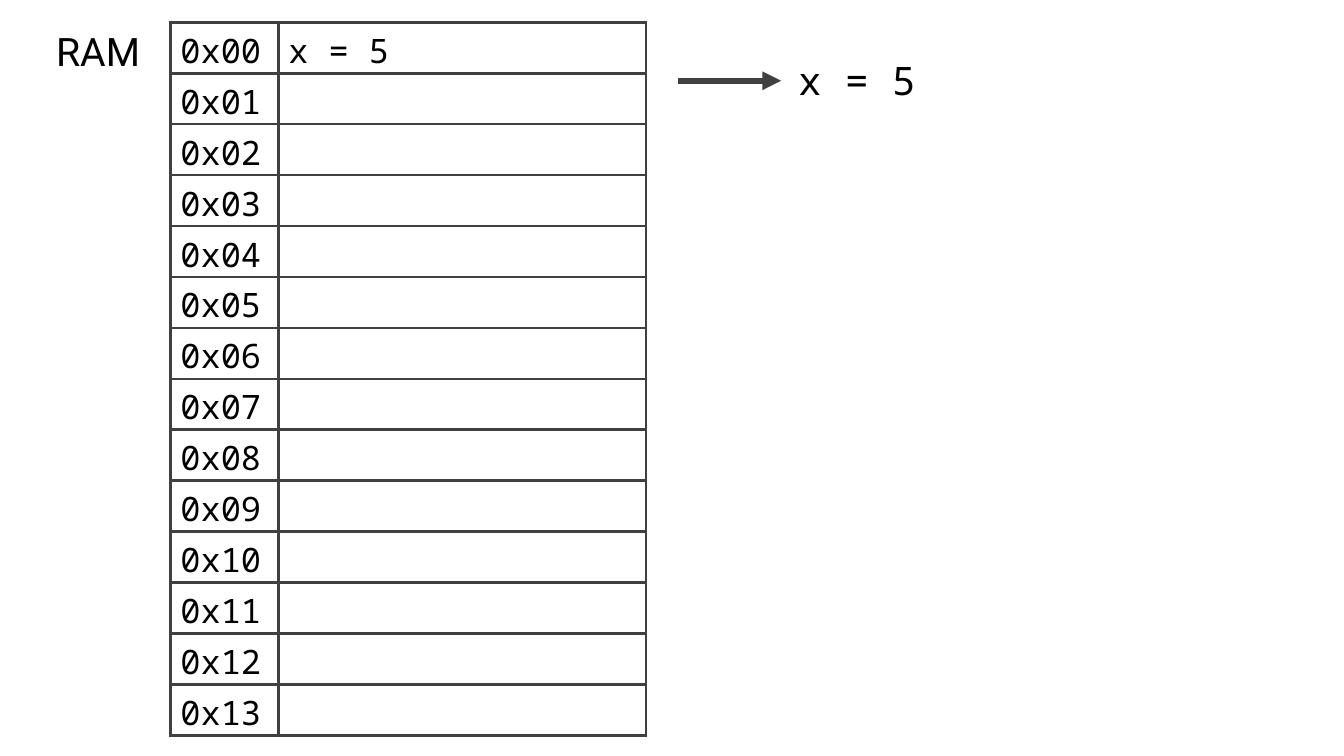
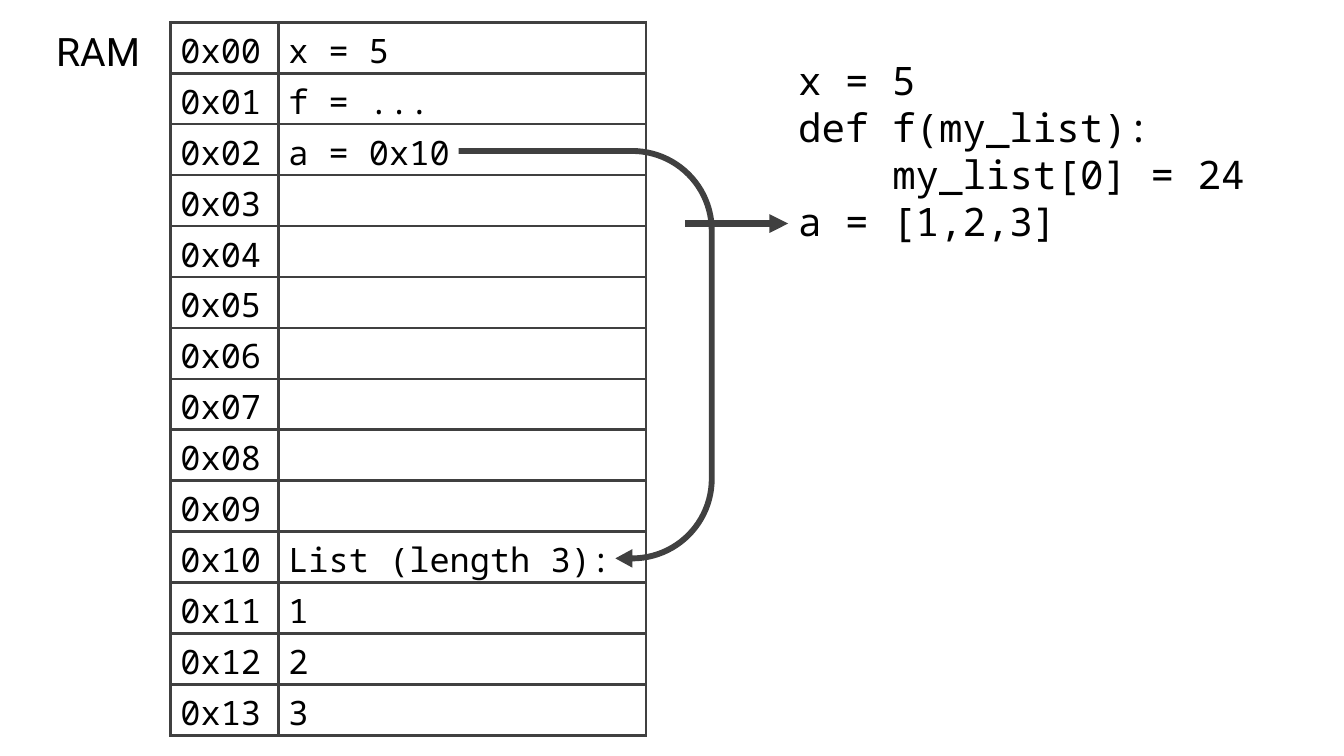
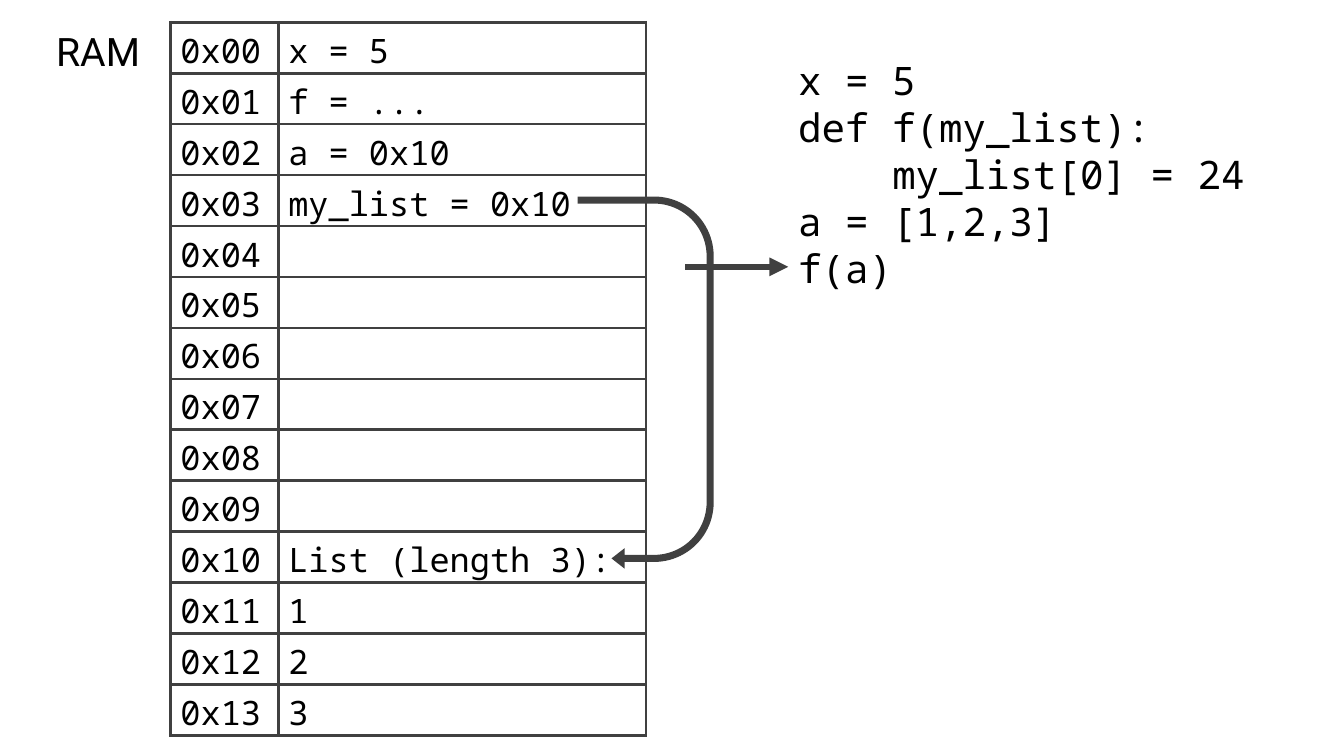
import lxml.etree
import pptx
import pptx.dml.color
import pptx.enum.shapes
import pptx.enum.text
import pptx.oxml.ns
import pptx.util

WIDE, HIGH = 13.33, 7.5
COL = WIDE / 40
TOP = 0.22
CELLS = 14
ROW = 7.08 / CELLS

BLACK = pptx.dml.color.RGBColor(0, 0, 0)
GREY = pptx.dml.color.RGBColor(0x40, 0x40, 0x40)
SANS, MONO = "Roboto", "Noto Sans Mono"
CHAR = 0.6  # width of a mono character, as a share of its size

CODE = ["x = 5", "def f(my_list):", "    my_list[0] = 24", "a = [1,2,3]", "f(a)"]
HEAP = {10: "List (length 3):", 11: "1", 12: "2", 13: "3"}
VARS = ["x = 5", "f = ...", "a = 0x10", "my_list = 0x10"]


def wide(cols):
    """Length of some grid columns."""
    return pptx.util.Inches(cols * COL)


def high(rows):
    """Length of some grid rows."""
    return pptx.util.Inches(rows * ROW)


def down(row):
    """Place of a row below the slide's top margin."""
    return pptx.util.Inches(TOP) + high(row)


def node(parent, tag, **attrs):
    """Add a drawing element to its parent."""
    return lxml.etree.SubElement(parent, pptx.oxml.ns.qn(tag), **attrs)


def write(frame, lines, size=28, font=MONO, color=BLACK, align=None):
    """Fill a text frame, turning leading spaces into indents."""
    for n, line in enumerate(lines):
        para = frame.add_paragraph() if n else frame.paragraphs[0]
        para.alignment = align
        text = line.lstrip()
        gap = len(line) - len(text)
        if gap:
            inset = pptx.util.Pt(gap * CHAR * size)
            para._p.get_or_add_pPr().set("marL", str(inset))
        run = para.add_run()
        run.text = text
        run.font.size = pptx.util.Pt(size)
        run.font.name = font
        run.font.color.rgb = color


def label(slide, col, row, cols, lines, **style):
    """Add a text box that is as high as its lines."""
    box = slide.shapes.add_textbox(
        wide(col), down(row), wide(cols), high(0.2 + 0.93 * len(lines)))
    frame = box.text_frame
    frame.word_wrap = True
    frame.auto_size = pptx.enum.text.MSO_AUTO_SIZE.SHAPE_TO_FIT_TEXT
    write(frame, lines, **style)


def edge(cell):
    """Draw the four borders of a cell and leave it unfilled."""
    props = cell._tc.get_or_add_tcPr()
    for side in "LRTB":
        line = node(props, "a:ln" + side, w=str(pptx.util.Pt(2.25)))
        node(node(line, "a:solidFill"), "a:srgbClr", val=str(GREY))
    cell.fill.background()


def memory(slide, data):
    """Add the RAM table, with data keyed by address."""
    label(slide, 1, 0, 3.84, ["RAM"], font=SANS,
          align=pptx.enum.text.PP_ALIGN.CENTER)
    sizes = [3.21, 10.95]
    table = slide.shapes.add_table(
        CELLS, 2, wide(5.07), down(0), wide(sum(sizes)), high(CELLS)).table
    table.first_row = table.horz_banding = False
    for col, size in zip(table.columns, sizes):
        col.width = wide(size)
    for n in range(CELLS):
        table.rows[n].height = high(1)
        for col, text in enumerate([f"0x{n:02d}", data.get(n, "")]):
            cell = table.cell(n, col)
            edge(cell)
            if text:
                write(cell.text_frame, [text], size=24)


def step(slide, col, row):
    """Add the arrow to the line of code that runs."""
    line = slide.shapes.add_connector(
        pptx.enum.shapes.MSO_CONNECTOR.STRAIGHT,
        wide(col), down(row), wide(col + 3.06), down(row))
    line.line.color.rgb = GREY
    line.line.width = pptx.util.Pt(4.5)
    props = line._element.spPr
    node(props.find(pptx.oxml.ns.qn("a:ln")), "a:tailEnd", type="triangle")
    node(props, "a:effectLst")


def refer(slide, col, row, cols, rows, bends):
    """Add a U-turn arrow, turned to the right, in the given box."""
    width, height = high(rows), wide(cols)
    shift = (width - height) // 2
    turn = slide.shapes.add_shape(
        pptx.enum.shapes.MSO_SHAPE.U_TURN_ARROW,
        wide(col) - shift, down(row) + shift, width, height)
    turn.rotation = 90
    for n, bend in enumerate(bends):
        turn.adjustments[n] = bend
    turn.shadow.inherit = False
    turn.fill.solid()
    turn.fill.fore_color.rgb = GREY
    turn.line.fill.background()


def scene(deck, names, heap, lines, point, link=None):
    """Build one slide: memory, reference, code and current step."""
    slide = deck.slides.add_slide(deck.slide_layouts[6])
    memory(slide, dict(enumerate(VARS[:names])) | heap)
    if link:
        refer(slide, *link)
    label(slide, 23.46, 0.57, 15.54, CODE[:lines])
    step(slide, *point)


def main():
    """Build and save the deck."""
    deck = pptx.Presentation()
    deck.slide_width = pptx.util.Inches(WIDE)
    deck.slide_height = pptx.util.Inches(HIGH)
    scene(deck, 1, {}, 1, (20.19, 1.15))
    scene(deck, 3, HEAP, 4, (20.4, 3.95),
          (13.65, 2.47, 7.62, 8.23, [0.023, 0.036, 0.066, 0.438, 0.388]))
    scene(deck, 4, HEAP, 5, (20.4, 4.8),
          (17.19, 3.42, 4.05, 7.3, [0.052, 0.075, 0.096, 0.438, 0.751]))
    deck.save("out.pptx")


main()
